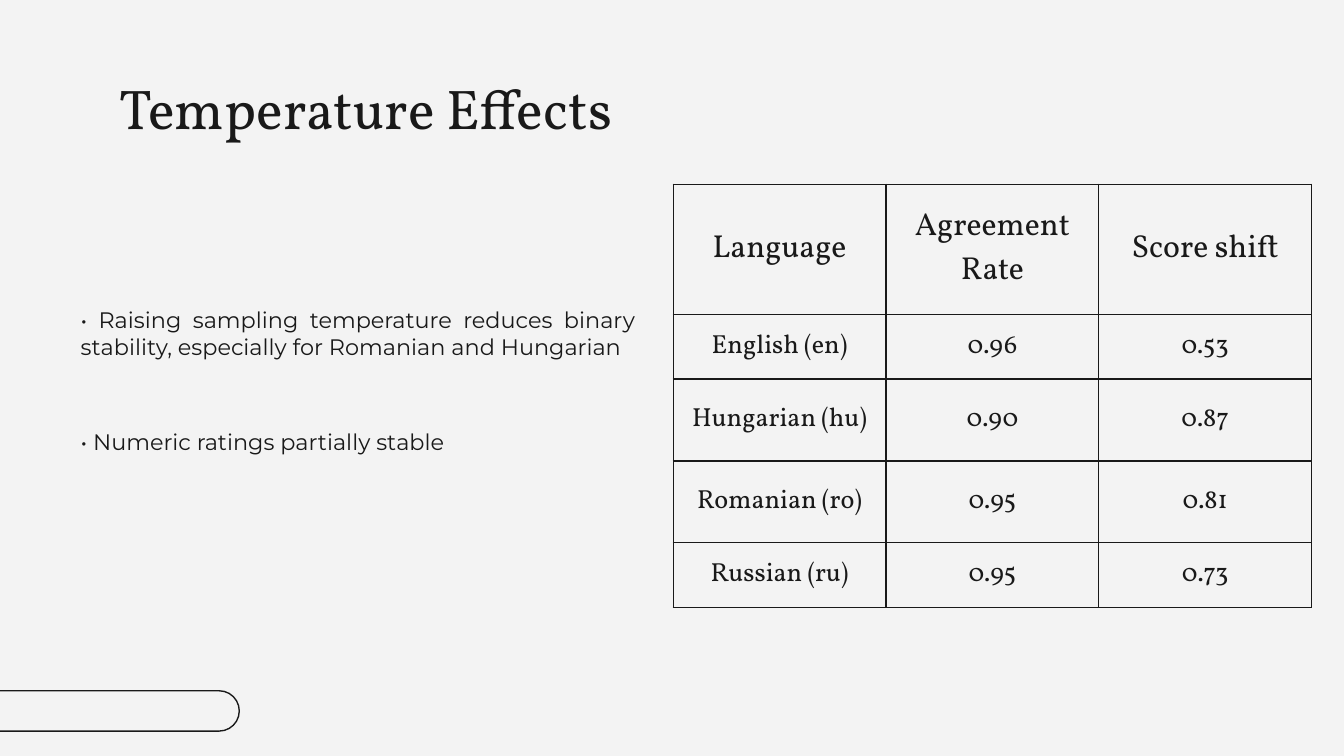
from dataclasses import dataclass

from lxml.etree import SubElement
from pptx import Presentation
from pptx.dml.color import RGBColor
from pptx.enum.shapes import MSO_SHAPE
from pptx.enum.text import MSO_ANCHOR, MSO_AUTO_SIZE, PP_ALIGN
from pptx.oxml.ns import qn
from pptx.util import Inches, Pt


@dataclass(frozen=True)
class Theme:
    ink: RGBColor = RGBColor(0x19, 0x19, 0x19)
    paper: RGBColor = RGBColor(0xF3, 0xF3, 0xF3)
    serif: str = "Vollkorn"
    sans: str = "Montserrat"
    title: float = 30
    body: float = 12
    head: float = 17
    cell: float = 14
    line: float = 0.75


@dataclass(frozen=True)
class Box:
    left: float
    top: float
    width: float
    height: float

    def place(self, shape) -> None:
        shape.left, shape.top = Inches(self.left), Inches(self.top)
        shape.width, shape.height = Inches(self.width), Inches(self.height)


@dataclass(frozen=True)
class Row:
    height: float
    cells: tuple[str, str, str]
    size: float


THEME = Theme()
WIDTH = 10
HEIGHT = WIDTH * 9 / 16
INSET = Inches(0.1)
POINTS = (
    "• Raising sampling temperature reduces binary stability, "
    "especially for Romanian and Hungarian",
    "• Numeric ratings partially stable",
)
ROWS = (
    Row(0.97, ("Language", "Agreement Rate", "Score shift"), THEME.head),
    Row(0.48, ("English (en)", "0.96", "0.53"), THEME.cell),
    Row(0.61, ("Hungarian (hu)", "0.90", "0.87"), THEME.cell),
    Row(0.61, ("Romanian (ro)", "0.95", "0.81"), THEME.cell),
    Row(0.48, ("Russian (ru)", "0.95", "0.73"), THEME.cell),
)


def pad(item) -> None:
    """Give a text frame or a table cell equal margins."""
    item.margin_left = item.margin_right = INSET
    item.margin_top = item.margin_bottom = INSET


def style(para, face: str, size: float, align: PP_ALIGN) -> None:
    para.alignment = align
    for run in para.runs:
        run.font.name = face
        run.font.size = Pt(size)
        run.font.color.rgb = THEME.ink


def flush(para) -> None:
    """Drop the template's bullet and hanging indent."""
    props = para._p.get_or_add_pPr()
    props.set("marL", "0")
    props.set("indent", "0")
    SubElement(props, qn("a:buNone"))


def border(cell) -> None:
    props = cell._tc.get_or_add_tcPr()
    for side in ("lnL", "lnR", "lnT", "lnB"):
        line = SubElement(props, qn(f"a:{side}"), w=str(Pt(THEME.line)))
        fill = SubElement(line, qn("a:solidFill"))
        SubElement(fill, qn("a:srgbClr"), val=str(THEME.ink))


def draw_pill(slide, box: Box) -> None:
    pill = slide.shapes.add_shape(MSO_SHAPE.ROUNDED_RECTANGLE, 0, 0, 0, 0)
    box.place(pill)
    pill.adjustments[0] = 0.5
    pill.shadow.inherit = False
    pill.fill.background()
    pill.line.color.rgb = THEME.ink
    pill.line.width = Pt(THEME.line)


def fill_frame(shape, text: str, box: Box, anchor: MSO_ANCHOR):
    box.place(shape)
    frame = shape.text_frame
    frame.text = text
    frame.auto_size = MSO_AUTO_SIZE.NONE
    frame.vertical_anchor = anchor
    pad(frame)
    return frame


def draw_title(slide, text: str, box: Box) -> None:
    frame = fill_frame(slide.shapes.title, text, box, MSO_ANCHOR.MIDDLE)
    style(frame.paragraphs[0], THEME.serif, THEME.title, PP_ALIGN.LEFT)


def draw_list(slide, points: tuple[str, ...], box: Box) -> None:
    frame = fill_frame(slide.placeholders[1], "\n".join(points), box,
                       MSO_ANCHOR.TOP)
    for index, para in enumerate(frame.paragraphs):
        flush(para)
        para.space_before = Pt(36.5 if index else 0)
        style(para, THEME.sans, THEME.body, PP_ALIGN.JUSTIFY)


def draw_table(slide, rows: tuple[Row, ...], box: Box) -> None:
    count = len(rows[0].cells)
    table = slide.shapes.add_table(
        len(rows), count, Inches(box.left), Inches(box.top),
        Inches(box.width), Inches(box.height),
    ).table
    table.first_row = table.horz_banding = False
    for line, row in zip(table.rows, rows):
        line.height = Inches(row.height)
        for cell, text in zip(line.cells, row.cells):
            cell.text = text
            cell.vertical_anchor = MSO_ANCHOR.MIDDLE
            pad(cell)
            border(cell)
            cell.fill.background()
            style(cell.text_frame.paragraphs[0], THEME.serif, row.size,
                  PP_ALIGN.CENTER)


def main() -> None:
    deck = Presentation()
    deck.slide_width, deck.slide_height = Inches(WIDTH), Inches(HEIGHT)
    slide = deck.slides.add_slide(deck.slide_layouts[1])
    slide.background.fill.solid()
    slide.background.fill.fore_color.rgb = THEME.paper
    draw_pill(slide, Box(-0.31, 5.14, 2.09, 0.3))
    draw_title(slide, "Temperature Effects", Box(0.79, 0.48, 8.43, 0.63))
    draw_list(slide, POINTS, Box(0.5, 2.18, 4.33, 1.27))
    draw_table(slide, ROWS, Box(5.01, 1.37, 4.75, 3.15))
    deck.save("out.pptx")


if __name__ == "__main__":
    main()
